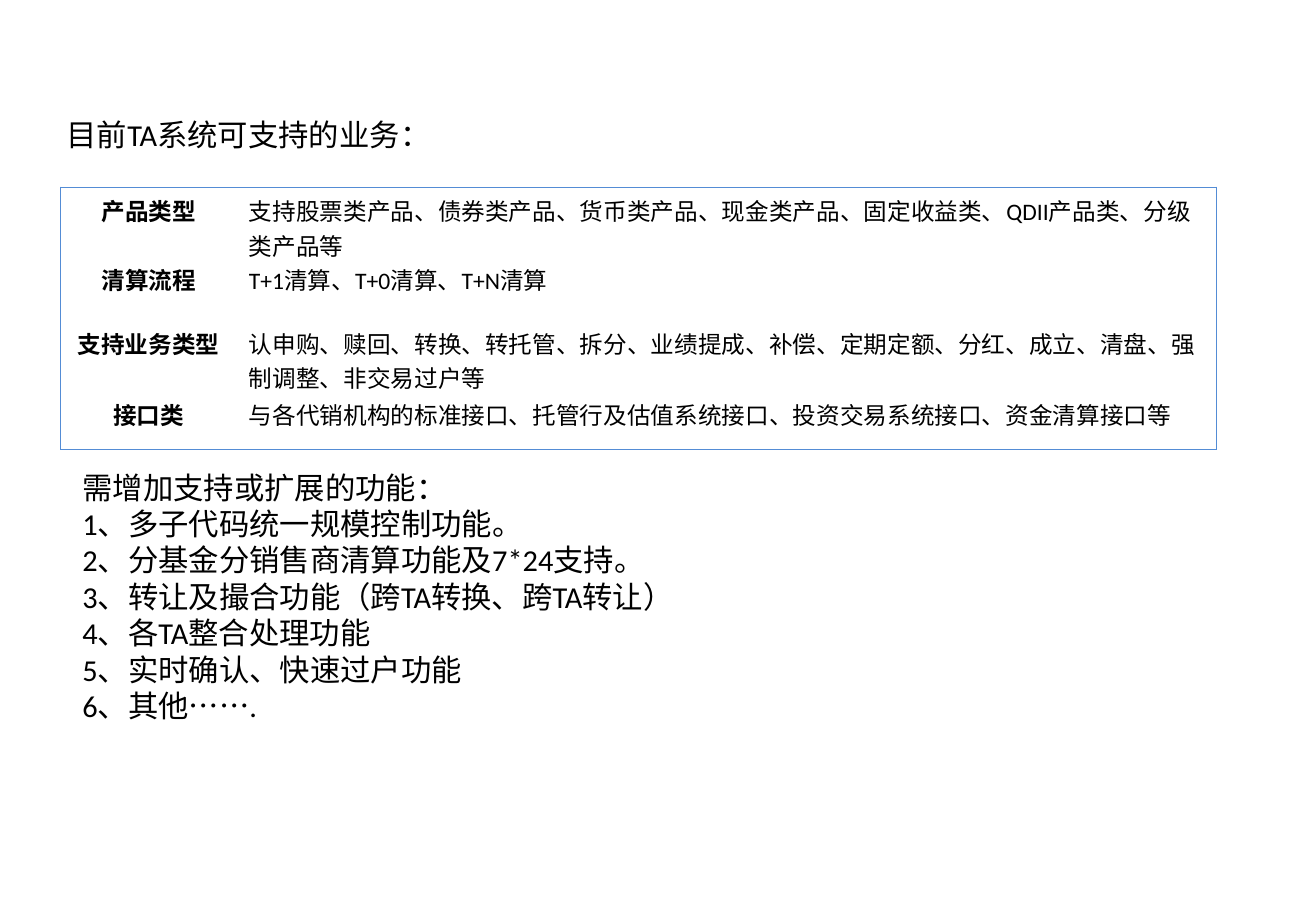
"""Build the slide on supported and planned TA system functions."""
from dataclasses import dataclass

from lxml.etree import SubElement
from pptx import Presentation
from pptx.dml.color import RGBColor
from pptx.enum.lang import MSO_LANGUAGE_ID
from pptx.enum.text import MSO_AUTO_SIZE, PP_ALIGN
from pptx.oxml.ns import qn
from pptx.util import Inches, Pt


@dataclass(frozen=True)
class Theme:
    font: str = "Calibri"
    ink: str = "000000"
    edge: str = "538CD5"
    body: int = 18
    cell: int = 14
    pitch: float = 21.6
    rule: float = 0.45


theme = Theme()


def add_run(para, text, size, bold=False):
    run = para.add_run()
    run.text = text
    font = run.font
    font.name = theme.font
    font.size = Pt(size)
    font.bold = bold
    font.color.rgb = RGBColor.from_string(theme.ink)
    font.language_id = MSO_LANGUAGE_ID.SIMPLIFIED_CHINESE


def add_edge(cell, side, shown):
    line = SubElement(cell._tc.get_or_add_tcPr(), qn(f"a:ln{side}"), w=str(Pt(theme.rule)))
    if shown:
        fill = SubElement(line, qn("a:solidFill"))
        SubElement(fill, qn("a:srgbClr"), val=theme.edge)
    else:
        SubElement(line, qn("a:noFill"))


deck = Presentation()
deck.slide_width = Inches(10.84)
deck.slide_height = Inches(7.5)
slide = deck.slides.add_slide(deck.slide_layouts[6])

notes = [
    ((0.45, 0.91, 9.92, 0.4), ["目前TA系统可支持的业务："]),
    ((0.58, 3.81, 9.64, 2.5), [
        "需增加支持或扩展的功能：",
        "1、多子代码统一规模控制功能。",
        "2、分基金分销售商清算功能及7*24支持。",
        "3、转让及撮合功能（跨TA转换、跨TA转让）",
        "4、各TA整合处理功能",
        "5、实时确认、快速过户功能",
        "6、其他…….",
    ]),
]
for place, lines in notes:
    frame = slide.shapes.add_textbox(*map(Inches, place)).text_frame
    frame.word_wrap = True
    frame.auto_size = MSO_AUTO_SIZE.SHAPE_TO_FIT_TEXT
    for num, text in enumerate(lines):
        para = frame.add_paragraph() if num else frame.paragraphs[0]
        para.line_spacing = Pt(theme.pitch)
        add_run(para, text, theme.body)

rows = [
    (0.57, "产品类型", "支持股票类产品、债券类产品、货币类产品、现金类产品、固定收益类、QDII产品类、分级类产品等"),
    (0.52, "清算流程", "T+1清算、T+0清算、T+N清算"),
    (0.59, "支持业务类型", "认申购、赎回、转换、转托管、拆分、业绩提成、补偿、定期定额、分红、成立、清盘、强制调整、非交易过户等"),
    (0.48, "接口类", "与各代销机构的标准接口、托管行及估值系统接口、投资交易系统接口、资金清算接口等"),
]
place = map(Inches, (0.5, 1.54, 9.53, 2.15))
table = slide.shapes.add_table(len(rows), 2, *place).table
table.first_row = False
table.horz_banding = False
for col, width in zip(table.columns, (1.45, 8.07)):
    col.width = Inches(width)

for num, (height, *texts) in enumerate(rows):
    table.rows[num].height = Inches(height)
    for col, text in enumerate(texts):
        cell = table.cell(num, col)
        label = col == 0
        para = cell.text_frame.paragraphs[0]
        para.alignment = PP_ALIGN.CENTER if label else PP_ALIGN.LEFT
        add_run(para, text, theme.cell, label)
        add_edge(cell, "L", label)
        add_edge(cell, "R", not label)
        add_edge(cell, "T", num == 0)
        add_edge(cell, "B", num == len(rows) - 1)
        cell.fill.background()

deck.save("out.pptx")
